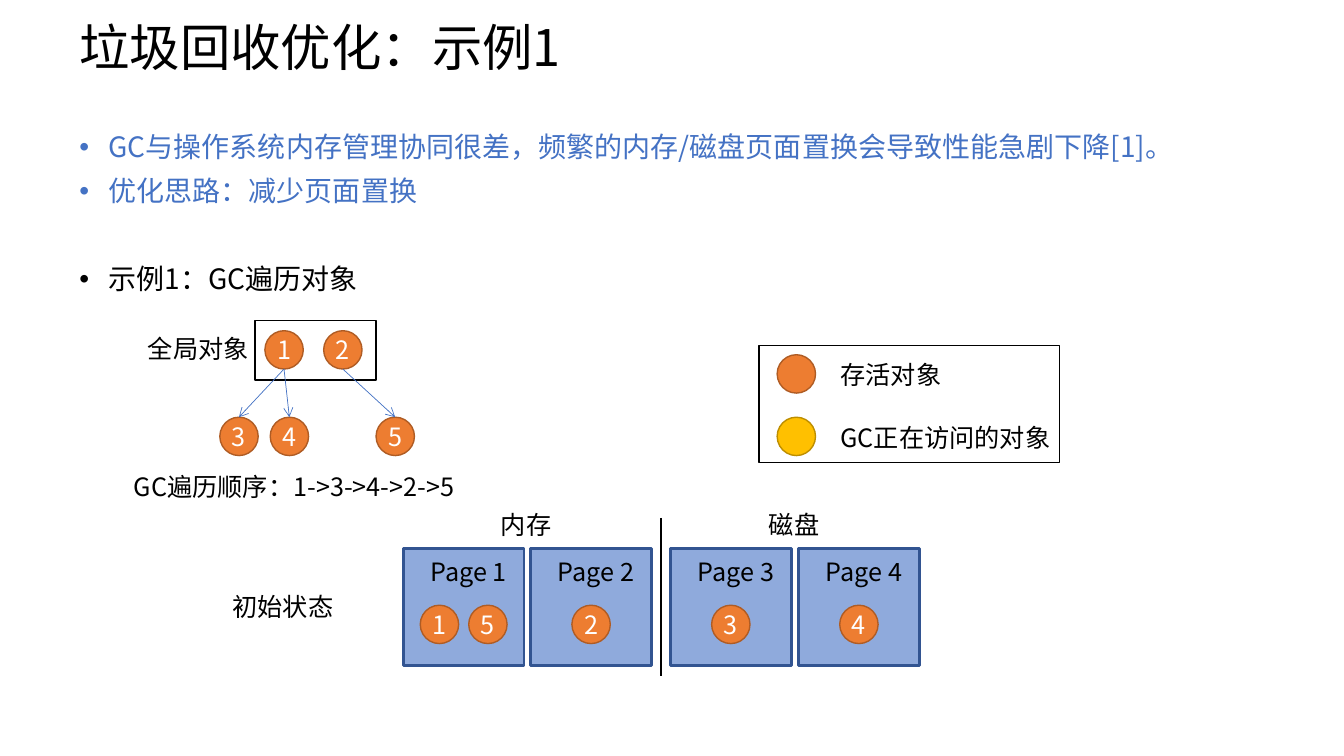
from dataclasses import dataclass

from lxml.etree import SubElement
from pptx import Presentation
from pptx.dml.color import RGBColor
from pptx.enum.shapes import MSO_CONNECTOR as CONN, MSO_SHAPE as SHAPE
from pptx.enum.text import MSO_ANCHOR as ANCHOR, MSO_AUTO_SIZE as FIT, PP_ALIGN as ALIGN
from pptx.oxml.ns import qn
from pptx.util import Pt


@dataclass(frozen=True)
class Theme:
    font: str = "Noto Sans CJK SC"
    title: float = 36
    body: float = 20
    label: float = 18
    black: str = "000000"
    white: str = "FFFFFF"
    blue: str = "4472C4"
    page: str = "8FAADC"
    page_line: str = "325491"
    live: str = "ED7D31"
    live_line: str = "AF5C24"
    visited: str = "FFC000"
    visited_line: str = "BD8E00"


T = Theme()
BALL = 27.4
PAGE_W, PAGE_H, PAGE_Y = 86.4, 83.5, 392


def rgb(color):
    return RGBColor.from_string(color)


def place(sp, x, y, w, h):
    sp.left, sp.top, sp.width, sp.height = Pt(x), Pt(y), Pt(w), Pt(h)


def add_run(p, text, size, color):
    r = p.add_run()
    r.text = text
    r.font.size = Pt(size)
    r.font.name = T.font
    r.font.color.rgb = rgb(color)
    SubElement(r.font._element, qn("a:ea")).set("typeface", T.font)


def add_label(shapes, text, x, y, w, wrap=True):
    tf = shapes.add_textbox(Pt(x), Pt(y), Pt(w), Pt(29)).text_frame
    tf.word_wrap = wrap
    tf.auto_size = FIT.SHAPE_TO_FIT_TEXT
    add_run(tf.paragraphs[0], text, T.label, T.black)


def add_box(shapes, kind, x, y, w, h, fill, line, weight):
    s = shapes.add_shape(kind, Pt(x), Pt(y), Pt(w), Pt(h))
    s.shadow.inherit = False
    if fill:
        s.fill.solid()
        s.fill.fore_color.rgb = rgb(fill)
    else:
        s.fill.background()
    s.line.color.rgb = rgb(line)
    s.line.width = Pt(weight)
    return s


def add_ball(shapes, x, y, text="", fill=T.live, line=T.live_line):
    s = add_box(shapes, SHAPE.OVAL, x, y, BALL, BALL, fill, line, 1)
    if text:
        tf = s.text_frame
        tf.margin_left = tf.margin_right = tf.margin_top = tf.margin_bottom = 0
        tf.vertical_anchor = ANCHOR.MIDDLE
        p = tf.paragraphs[0]
        p.alignment = ALIGN.CENTER
        add_run(p, text, T.label, T.white)


def add_line(shapes, x1, y1, x2, y2, color, weight, arrow=False):
    c = shapes.add_connector(CONN.STRAIGHT, Pt(x1), Pt(y1), Pt(x2), Pt(y2))
    c.line.color.rgb = rgb(color)
    c.line.width = Pt(weight)
    if arrow:
        SubElement(c.line._get_or_add_ln(), qn("a:tailEnd")).set("type", "arrow")
    SubElement(c._element.spPr, qn("a:effectLst"))


def add_title(sp, text):
    place(sp, 49.5, 6.5, 828, 58.3)
    tf = sp.text_frame
    tf.auto_size = FIT.NONE
    tf.vertical_anchor = ANCHOR.MIDDLE
    p = tf.paragraphs[0]
    p.alignment = ALIGN.LEFT
    p.line_spacing = 0.9
    add_run(p, text, T.title, T.black)


def add_bullets(sp, items):
    place(sp, 49.5, 91.5, 888.5, 398)
    tf = sp.text_frame
    tf.auto_size = FIT.NONE
    for i, (text, color, before) in enumerate(items):
        p = tf.add_paragraph() if i else tf.paragraphs[0]
        p.line_spacing = 0.9
        p.space_before = Pt(before)
        pPr = p._p.get_or_add_pPr()
        pPr.set("marL", str(Pt(20.9)))
        pPr.set("indent", str(Pt(-20.9)))
        SubElement(pPr, qn("a:buFont")).set("typeface", "Arial")
        SubElement(pPr, qn("a:buChar")).set("char", "•")
        add_run(p, text, T.body, color)


def add_page(shapes, number, x, objects):
    add_box(shapes, SHAPE.RECTANGLE, x, PAGE_Y, PAGE_W, PAGE_H, T.page, T.page_line, 2)
    add_label(shapes, f"Page {number}", x + 12.5, 394, 69, wrap=False)
    gap = 34.6
    first = x + (PAGE_W - BALL - gap * (len(objects) - 1)) / 2
    for i, name in enumerate(objects):
        add_ball(shapes, first + i * gap, 432.3, name)


def add_memory(shapes):
    pages = [(288, "15"), (379, "2"), (478.8, "3"), (570.3, "4")]
    for number, (x, objects) in enumerate(pages, 1):
        add_page(shapes, number, x, objects)
    add_line(shapes, 472.3, 370, 472.3, 483, T.black, 1.5)
    add_label(shapes, "内存", 350.8, 360.4, 50.4, wrap=False)
    add_label(shapes, "磁盘", 542.2, 360.4, 50.4, wrap=False)


def add_object_tree(shapes):
    add_box(shapes, SHAPE.RECTANGLE, 182.2, 229, 86.4, 42.5, T.white, T.black, 1)
    add_label(shapes, "全局对象", 98.6, 234.7, 94.3)
    balls = {"1": (189.2, 236.2), "2": (231.2, 236.2),
             "3": (157, 298), "4": (193, 298), "5": (268.6, 298)}
    for name, (x, y) in balls.items():
        add_ball(shapes, x, y, name)
    for parent, child in ("13", "14", "25"):
        (x1, y1), (x2, y2) = balls[parent], balls[child]
        add_line(shapes, x1 + BALL / 2, y1 + BALL, x2 + BALL / 2, y2, T.blue, 0.5, arrow=True)
    add_label(shapes, "GC遍历顺序：1->3->4->2->5", 88.6, 333.4, 344)


def add_legend(shapes):
    rows = [("存活对象", T.live, T.live_line, 103),
            ("GC正在访问的对象", T.visited, T.visited_line, 173.5)]
    for i, (text, fill, line, w) in enumerate(rows):
        y = 253.4 + i * 44.6
        add_ball(shapes, 555.1, y, fill=fill, line=line)
        add_label(shapes, text, 593.3, y, w)
    add_box(shapes, SHAPE.RECTANGLE, 542.2, 247, 214.6, 83.5, None, T.black, 1)


def main():
    prs = Presentation()
    prs.slide_width, prs.slide_height = Pt(960), Pt(540)
    slide = prs.slides.add_slide(prs.slide_layouts[1])

    # Title and main points
    add_title(slide.shapes.title, "垃圾回收优化：示例1")
    add_bullets(slide.placeholders[1], [
        ("GC与操作系统内存管理协同很差，频繁的内存/磁盘页面置换会导致性能急剧下降[1]。", T.blue, 10),
        ("优化思路：减少页面置换", T.blue, 10),
        ("示例1：GC遍历对象", T.black, 41.5),
    ])

    # Diagrams, one group each
    for draw in (add_memory, add_object_tree, add_legend):
        draw(slide.shapes.add_group_shape().shapes)
    add_label(slide.shapes, "初始状态", 159, 419, 103)

    prs.save("out.pptx")


if __name__ == "__main__":
    main()
